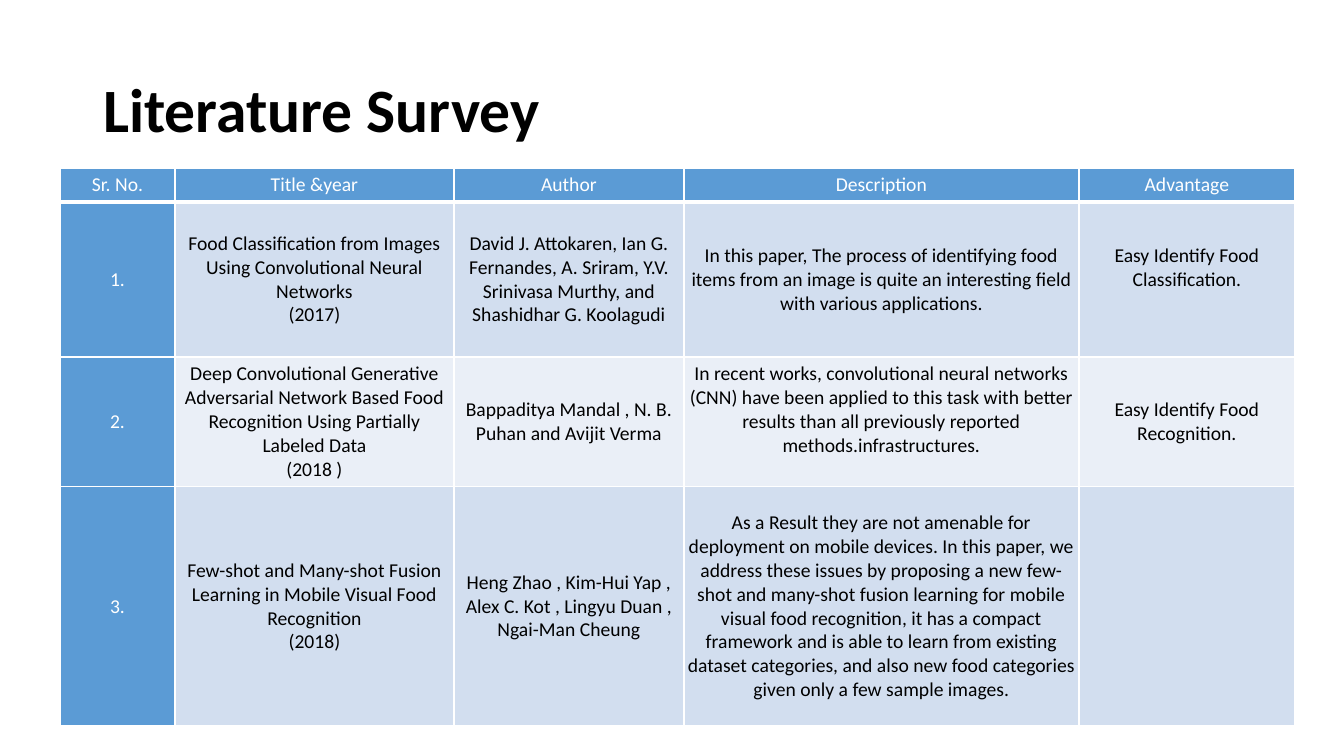
from lxml import etree
from pptx import Presentation
from pptx import util as u
from pptx.dml.color import RGBColor
from pptx.enum import text
from pptx.oxml import ns

EMU_PER_PX = 914400 / 100.8
FONT = "Calibri"
WHITE, BLACK = "FFFFFF", "000000"
BLUE, BAND_DARK, BAND_LIGHT = "5B9BD5", "D2DEEF", "EAEFF7"

COLUMN_WIDTHS = [115, 279, 230, 395, 216]
ROW_HEIGHTS = [34, 155, 130, 239]
LINE = 24  # height of one text line

HEADINGS = ["Sr. No.", "Title &year", "Author", "Description", "Advantage"]
PAPERS = [
    ["1.",
     "Food Classification from Images Using Convolutional Neural Networks\n(2017)",
     "David J. Attokaren, Ian G. Fernandes, A. Sriram, Y.V. Srinivasa Murthy, "
     "and Shashidhar G. Koolagudi",
     "In this paper, The process of identifying food items from an image is quite "
     "an interesting field with various applications.",
     "Easy Identify Food Classification."],
    ["2.",
     "Deep Convolutional Generative Adversarial Network Based Food Recognition "
     "Using Partially Labeled Data\n(2018 )",
     "Bappaditya Mandal , N. B. Puhan and Avijit Verma",
     "In recent works, convolutional neural networks (CNN) have been applied to "
     "this task with better results than all previously reported "
     "methods.infrastructures.",
     "Easy Identify Food Recognition."],
    ["3.",
     "Few-shot and Many-shot Fusion Learning in Mobile Visual Food Recognition\n(2018)",
     "Heng Zhao , Kim-Hui Yap , Alex C. Kot , Lingyu Duan , Ngai-Man Cheung",
     "As a Result they are not amenable for deployment on mobile devices. In this "
     "paper, we address these issues by proposing a new few-shot and many-shot "
     "fusion learning for mobile visual food recognition, it has a compact framework "
     "and is able to learn from existing dataset categories, and also new food "
     "categories given only a few sample images.",
     ""],
]
# Cells whose text sits half a line above the middle
RAISED_CELLS = {(1, 4), (2, 3)}


def px(length):
    return u.Emu(round(length * EMU_PER_PX))


def rgb(color):
    return RGBColor.from_string(color)


def set_font(paragraph, size, color, bold=False):
    font = paragraph.font
    font.name, font.size, font.bold = FONT, u.Pt(size), bold
    font.color.rgb = rgb(color)


def add_title(slide, wording):
    title = slide.shapes.title
    title.left, title.top, title.width, title.height = map(px, (93, 40, 1159, 146))
    frame = title.text_frame
    frame.text = wording
    frame.word_wrap = True
    frame.vertical_anchor = text.MSO_ANCHOR.MIDDLE
    paragraph = frame.paragraphs[0]
    paragraph.alignment = text.PP_ALIGN.LEFT
    paragraph.line_spacing = 0.9
    set_font(paragraph, 44, BLACK, bold=True)


def set_borders(cell, bottom_width):
    properties = cell._tc.get_or_add_tcPr()
    for side, width in (("L", 1), ("R", 1), ("T", 1), ("B", bottom_width)):
        line = etree.SubElement(properties, ns.qn(f"a:ln{side}"), w=str(u.Pt(width)))
        fill = etree.SubElement(line, ns.qn("a:solidFill"))
        etree.SubElement(fill, ns.qn("a:srgbClr"), val=WHITE)


def format_cell(cell, wording, fill, color, bottom_width, raised):
    set_borders(cell, bottom_width)
    cell.fill.solid()
    cell.fill.fore_color.rgb = rgb(fill)
    cell.margin_left = cell.margin_right = px(1)
    cell.margin_top = 0
    cell.margin_bottom = px(LINE if raised else 0)
    cell.vertical_anchor = text.MSO_ANCHOR.MIDDLE
    cell.text = wording
    for paragraph in cell.text_frame.paragraphs:
        paragraph.alignment = text.PP_ALIGN.CENTER
        set_font(paragraph, 14, color)


def add_survey(slide):
    rows = [HEADINGS] + PAPERS
    survey = slide.shapes.add_table(
        len(rows), len(HEADINGS), px(60), px(168),
        px(sum(COLUMN_WIDTHS)), px(sum(ROW_HEIGHTS))).table
    for column, width in zip(survey.columns, COLUMN_WIDTHS):
        column.width = px(width)
    for row, height in zip(survey.rows, ROW_HEIGHTS):
        row.height = px(height)
    for r, entries in enumerate(rows):
        band = BAND_DARK if r % 2 else BAND_LIGHT
        for c, wording in enumerate(entries):
            is_label = r == 0 or c == 0
            format_cell(survey.cell(r, c), wording,
                        fill=BLUE if is_label else band,
                        color=WHITE if is_label else BLACK,
                        bottom_width=3 if r == 0 else 1,
                        raised=(r, c) in RAISED_CELLS)


def main():
    deck = Presentation()
    deck.slide_width, deck.slide_height = px(1344), px(756)
    slide = deck.slides.add_slide(deck.slide_layouts[5])
    add_title(slide, "Literature Survey")
    add_survey(slide)
    deck.save("out.pptx")


if __name__ == "__main__":
    main()
